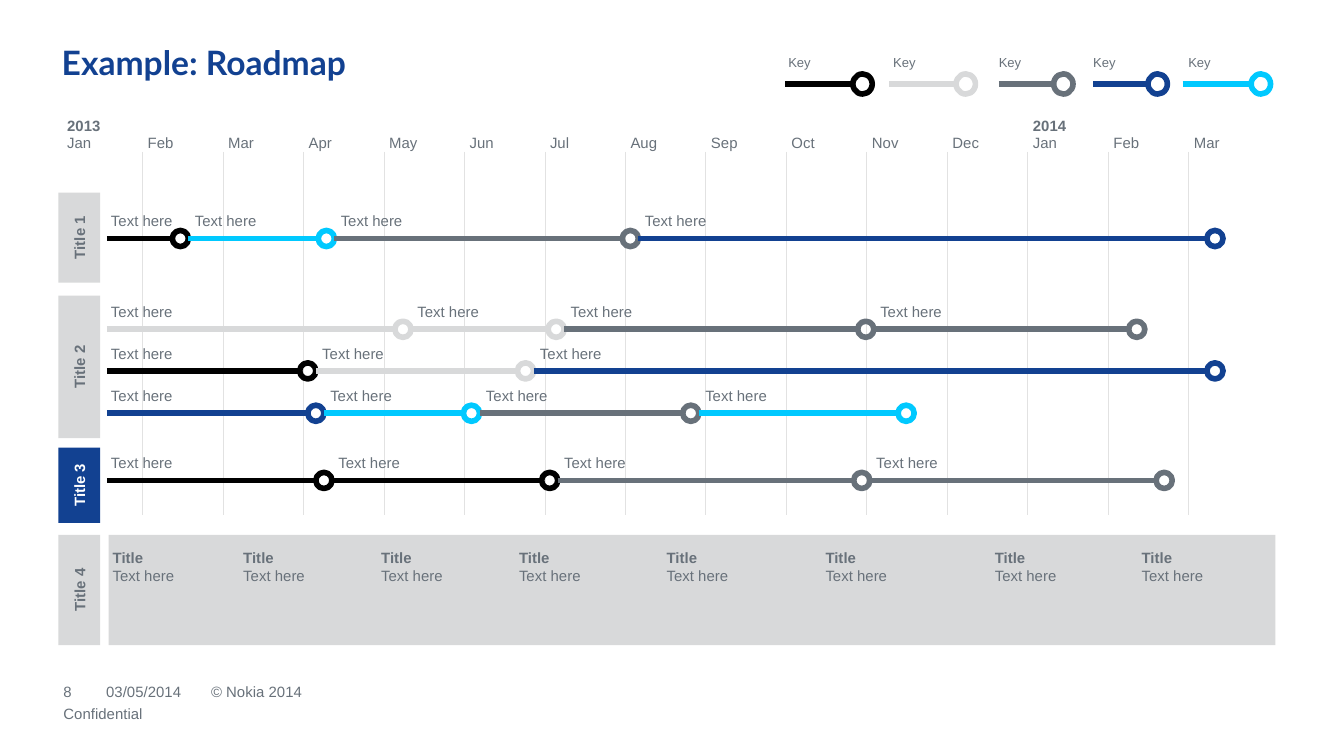
from dataclasses import dataclass
from typing import Any

from lxml.etree import SubElement as Sub
from pptx import Presentation
from pptx.dml.color import RGBColor as RGB
from pptx.enum.shapes import MSO_CONNECTOR as Link, MSO_SHAPE as Form
from pptx.enum.text import MSO_ANCHOR as Anchor, PP_ALIGN as Align
from pptx.oxml.ns import qn
from pptx.oxml.xmlchemy import OxmlElement as Element
from pptx.util import Inches, Pt

BLACK = RGB(0x00, 0x00, 0x00)
WHITE = RGB(0xFF, 0xFF, 0xFF)
LIGHT = RGB(0xD8, 0xD9, 0xDA)
GREY = RGB(0x68, 0x71, 0x7A)
BLUE = RGB(0x12, 0x41, 0x91)
CYAN = RGB(0x00, 0xC9, 0xFF)
RULE = RGB(0xE2, 0xE2, 0xE2)

WIDTH = Inches(10)
HEIGHT = WIDTH * 9 // 16
LEFT, COL, ROW = 0.46, 0.6, 0.1  # grid in inches: a column is a month
START = 0.56  # column where every track begins
SMALL = {"size": Pt(8), "name": "Arial", "bold": False}
BOLD = SMALL | {"bold": True}
TINY = SMALL | {"size": Pt(7)}
HEAD = {"size": Pt(18), "name": "Lato", "bold": True}
ZERO = dict.fromkeys(
    ("margin_left", "margin_top", "margin_right", "margin_bottom"), 0)


@dataclass
class Track:
    row: float
    stops: list[tuple[float, RGB]]


@dataclass
class Key:
    start: float
    end: float
    label: float
    color: RGB


@dataclass
class Band:
    text: str
    row: float
    rows: float
    fill: RGB = LIGHT
    ink: RGB = GREY


MONTHS = ["2013\nJan", "Feb", "Mar", "Apr", "May", "Jun", "Jul", "Aug", "Sep",
          "Oct", "Nov", "Dec", "2014\nJan", "Feb", "Mar"]
TRACKS = [
    Track(17.75, [(1.47, BLACK), (3.28, CYAN), (7.05, GREY), (14.3, BLUE)]),
    Track(24.5, [(4.23, LIGHT), (6.13, LIGHT), (9.97, GREY), (13.33, GREY)]),
    Track(27.6, [(3.05, BLACK), (5.75, LIGHT), (14.3, BLUE)]),
    Track(30.75, [(3.15, BLUE), (5.08, CYAN), (7.8, GREY), (10.47, CYAN)]),
    Track(35.75, [(3.25, BLACK), (6.05, BLACK), (9.92, GREY), (13.67, GREY)]),
]
KEYS = [
    Key(8.97, 9.81, 9.01, BLACK),
    Key(10.26, 11.09, 10.31, LIGHT),
    Key(11.62, 12.3, 11.62, GREY),
    Key(12.79, 13.47, 12.79, BLUE),
    Key(13.9, 14.75, 13.97, CYAN),
]
BANDS = [
    Band("Title 1", 14.33, 6.7),
    Band("Title 2", 22, 10.6),
    Band("Title 3", 33.3, 5.6, BLUE, WHITE),
    Band("Title 4", 39.8, 8.2),
]
NOTES = [0.63, 2.25, 3.96, 5.67, 7.5, 9.47, 11.57, 13.39]
FOOTER = [("8", 0.02, 50.8), ("03/05/2014", 0.55, 50.8),
          ("© Nokia 2014", 1.85, 50.8), ("Confidential", 0.02, 52.4)]


def across(col: float) -> int:
    return Inches(LEFT + COL * col)


def down(row: float) -> int:
    return Inches(ROW * row)


def wide(cols: float) -> int:
    return Inches(COL * cols)


def apply(item: Any, form: dict[str, Any]) -> None:
    for name, value in form.items():
        setattr(item, name, value)


def write(frame: Any, text: str, forms: list[dict], ink: RGB = GREY) -> None:
    """Write one paragraph per line of text, each with its own font format."""
    frame.text = text
    for para, form in zip(frame.paragraphs, forms):
        for run in para.runs:
            apply(run.font, form)
            run.font.color.rgb = ink


def label(slide: Any, text: str, col: float, row: float, cols: float,
          rows: float, forms: list[dict], ink: RGB = GREY,
          anchor: Any = Anchor.TOP) -> None:
    box = slide.shapes.add_textbox(
        across(col), down(row), wide(cols), down(rows))
    apply(box.text_frame, ZERO | {"word_wrap": True,
                                  "vertical_anchor": anchor})
    write(box.text_frame, text, forms, ink)


def line(slide: Any, start: float, end: float, row: float, color: RGB) -> None:
    link = slide.shapes.add_connector(
        Link.STRAIGHT, across(start), down(row), across(end), down(row))
    link.line.color.rgb = color
    link.line.width = Pt(3)
    Sub(link._element.spPr, qn("a:effectLst"))


def ring(slide: Any, mid: float, row: float, cols: float, rows: float,
         color: RGB) -> None:
    dot = slide.shapes.add_shape(
        Form.OVAL, across(mid - cols / 2), down(row - rows / 2),
        wide(cols), down(rows))
    dot.shadow.inherit = False
    dot.fill.background()
    dot.line.color.rgb = color
    dot.line.width = Pt(3)


def block(slide: Any, x: int, y: int, w: int, h: int, fill: RGB) -> Any:
    rect = slide.shapes.add_shape(Form.RECTANGLE, x, y, w, h)
    rect.shadow.inherit = False
    rect.fill.solid()
    rect.fill.fore_color.rgb = fill
    rect.line.fill.background()
    return rect


def border(cell: Any, sides: str) -> None:
    """Rule the given sides (of L, R, T, B) and clear the others."""
    props = cell._tc.get_or_add_tcPr()
    for place, side in enumerate("LRTB"):
        edge = Element(f"a:ln{side}")
        props.insert(place, edge)
        if side in sides:
            edge.set("w", str(Pt(0.25)))
            Sub(Sub(edge, qn("a:solidFill")), qn("a:srgbClr"), val=str(RULE))
        else:
            Sub(edge, qn("a:noFill"))


def draw_months(slide: Any) -> None:
    count = len(MONTHS)
    table = slide.shapes.add_table(
        2, count, across(0), down(7.1), wide(count - 0.02), down(31.2)).table
    apply(table, {"first_row": False, "horz_banding": False})
    table.rows[0].height, table.rows[1].height = down(4.2), down(27)
    for place, month in enumerate(MONTHS):
        top, body = table.cell(0, place), table.cell(1, place)
        apply(top, ZERO | {"margin_left": Inches(0.04),
                           "vertical_anchor": Anchor.BOTTOM})
        forms = [BOLD, SMALL] if "\n" in month else [SMALL]
        write(top.text_frame, month, forms)
        sides = "L" * (place > 0) + "R" * (place < count - 1)
        for cell, edges in ((top, ""), (body, sides)):
            cell.fill.background()
            border(cell, edges)


def draw_key(slide: Any, key: Key) -> None:
    line(slide, key.start, key.end, 6.25, key.color)
    ring(slide, key.end + 0.12, 6.25, 0.24, 1.5, key.color)
    label(slide, "Key", key.label, 4.05, 1, 1.2, [TINY], anchor=Anchor.BOTTOM)


def draw_band(slide: Any, band: Band) -> None:
    """Draw a side title, laid flat and then turned about its centre."""
    long, thin = down(band.rows), Inches(0.31)
    mid = down(band.row + band.rows / 2)
    rect = block(slide, Inches(0.59) - long // 2, mid - thin // 2,
                 long, thin, band.fill)
    rect.rotation = 270
    apply(rect.text_frame, {"word_wrap": False,
                            "vertical_anchor": Anchor.MIDDLE})
    write(rect.text_frame, band.text, [BOLD], band.ink)
    rect.text_frame.paragraphs[0].alignment = Align.CENTER


def draw_track(slide: Any, track: Track) -> None:
    start, text = START, START + 0.05
    for stop, color in track.stops:
        line(slide, start, stop - 0.1, track.row, color)
        ring(slide, stop, track.row, 0.2, 1.2, color)
        label(slide, "Text here", text, track.row - 1.95, 0.9, 1.3, [SMALL],
              anchor=Anchor.BOTTOM)
        start, text = stop + 0.1, stop + 0.18


def main() -> None:
    deck = Presentation()
    deck.slide_width, deck.slide_height = WIDTH, HEIGHT
    slide = deck.slides.add_slide(deck.slide_layouts[6])
    draw_months(slide)
    block(slide, across(0.58), down(39.8), wide(14.47), down(8.2), LIGHT)
    for draw, items in ((draw_key, KEYS), (draw_band, BANDS),
                        (draw_track, TRACKS)):
        for item in items:
            draw(slide, item)
    for col in NOTES:
        label(slide, "Title\nText here", col, 40.8, 1.7, 7.2, [BOLD, SMALL])
    for text, col, row in FOOTER:
        label(slide, text, col, row, 1.25, 1.4, [SMALL])
    label(slide, "Example: Roadmap", 0, 3.1, 15, 3.4, [HEAD], BLUE)
    deck.save("out.pptx")


if __name__ == "__main__":
    main()
